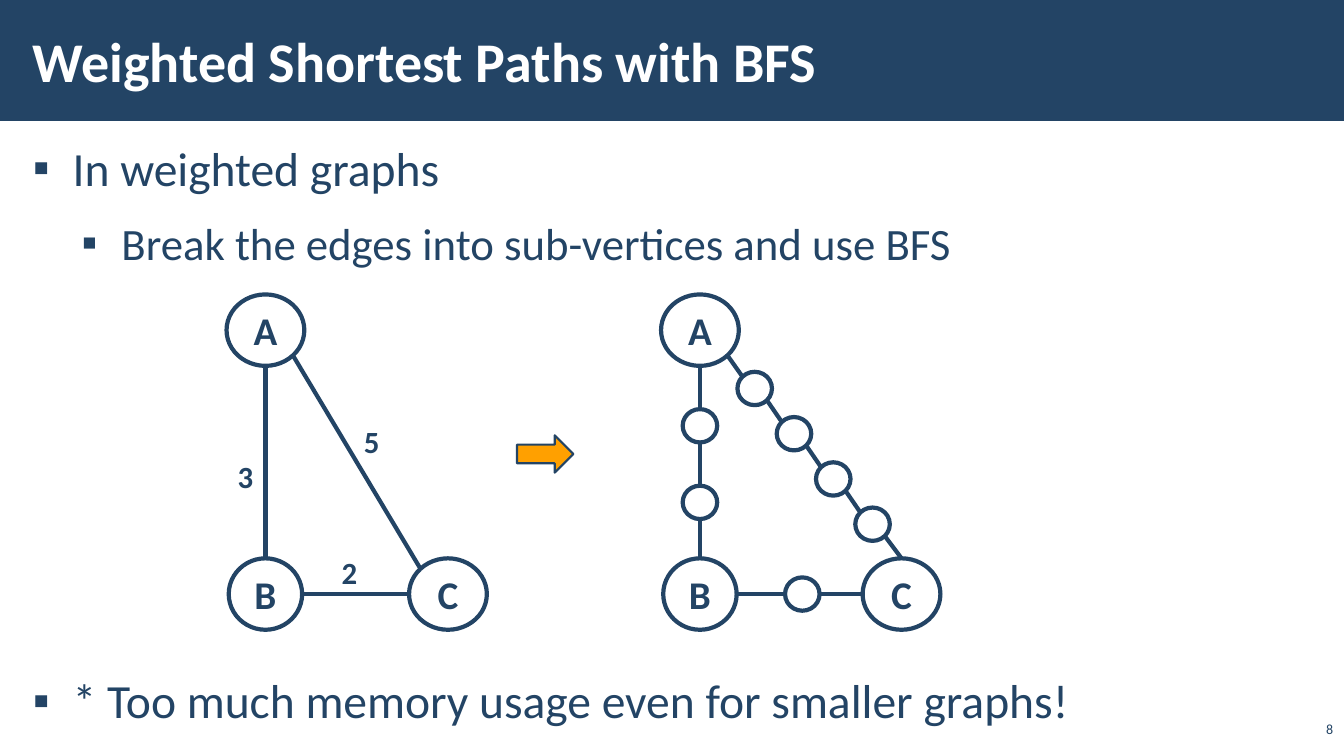
from math import cos, radians, sin

from lxml import etree
from pptx import Presentation
from pptx.dml.color import RGBColor
from pptx.enum.shapes import MSO_CONNECTOR, MSO_SHAPE
from pptx.enum.text import MSO_ANCHOR, MSO_AUTO_SIZE, PP_ALIGN
from pptx.oxml.ns import qn
from pptx.util import Cm, Pt

LINE = MSO_CONNECTOR.STRAIGHT
OVAL, RECT, ARROW = MSO_SHAPE.OVAL, MSO_SHAPE.RECTANGLE, MSO_SHAPE.RIGHT_ARROW
TOP, MID, LOW = MSO_ANCHOR.TOP, MSO_ANCHOR.MIDDLE, MSO_ANCHOR.BOTTOM
LEFT, CENTER, RIGHT = PP_ALIGN.LEFT, PP_ALIGN.CENTER, PP_ALIGN.RIGHT
NAVY, WHITE, AMBER = "234465", "FFFFFF", "FFA000"
FONT = "Calibri"

TITLE = "Weighted Shortest Paths with BFS"
# text, level, size, space before (pt), left indent (cm)
BODY = [
    ("In weighted graphs", 0, 34, 6, 1),
    ("Break the edges into sub-vertices and use BFS", 1, 32, 6, 2.23),
    ("* Too much memory usage even for smaller graphs!", 0, 34, 279, 1),
]
HANG = 1

# Directions on a vertex outline, in degrees clockwise from the right
E, SE, S, W, NW, N = 0, 45, 90, 180, 225, 270
BIG, SLIM, DOT = (1.96, 1.8), (1.85, 1.8), (0.87, 0.84)

# Vertices: name -> (centre x, centre y, size, label)
WHOLE = {
    "A": (6.69, 8.32, BIG, "A"),
    "B": (6.69, 14.97, SLIM, "B"),
    "C": (11.29, 14.97, BIG, "C"),
}
SPLIT = {
    "A": (17.64, 8.32, BIG, "A"),
    "B": (17.64, 14.97, SLIM, "B"),
    "C": (22.72, 14.97, BIG, "C"),
    "AB1": (17.64, 10.73, DOT, ""),
    "AB2": (17.64, 12.66, DOT, ""),
    "BC1": (20.22, 14.97, DOT, ""),
}
for i in range(4):
    SPLIT[f"AC{i + 1}"] = (19.02 + 0.99 * i, 9.79 + 1.14 * i, DOT, "")

# Paths: vertices in order, side left, side entered, side entered at the end
WHOLE_PATHS = [("A B", S, N, N), ("B C", E, W, W), ("A C", SE, NW, NW)]
SPLIT_PATHS = [
    ("A AB1 AB2 B", S, N, N),
    ("B BC1 C", E, W, W),
    ("A AC1 AC2 AC3 AC4 C", SE, NW, N),
]
WEIGHTS = [("3", 5.74, 11.4), ("5", 8.92, 10.54), ("2", 8.36, 13.84)]


def color(code):
    return RGBColor.from_string(code)


def style(para, size, code=NAVY, bold=False, align=LEFT):
    para.alignment = align
    for run in para.runs:
        font = run.font
        font.name, font.size, font.bold = FONT, Pt(size), bold
        font.color.rgb = color(code)


def inset(frame, side, top):
    frame.margin_left = frame.margin_right = Cm(side)
    frame.margin_top = frame.margin_bottom = Cm(top)


def place(shape, x, y, w, h):
    shape.left, shape.top, shape.width, shape.height = map(Cm, (x, y, w, h))


def add_shape(shapes, kind, box, fill, width=0):
    shape = shapes.add_shape(kind, *map(Cm, box))
    shape.shadow.inherit = False
    shape.fill.solid()
    shape.fill.fore_color.rgb = color(fill)
    if width:
        shape.line.color.rgb = color(NAVY)
        shape.line.width = Pt(width)
    else:
        shape.line.fill.background()
    return shape


def add_text(shapes, text, box, size, bold=False, align=LEFT, anchor=TOP, wrap=False):
    frame = shapes.add_textbox(*map(Cm, box)).text_frame
    frame.text = text
    frame.word_wrap, frame.vertical_anchor = wrap, anchor
    style(frame.paragraphs[0], size, bold=bold, align=align)


def rim(node, angle):
    """Point on the outline of a vertex in the given direction."""
    x, y, (w, h), _ = node
    turn = radians(angle)
    return Cm(x + w / 2 * cos(turn)), Cm(y + h / 2 * sin(turn))


def add_edge(shapes, start, end):
    edge = shapes.add_connector(LINE, *start, *end)
    edge.line.color.rgb = color(NAVY)
    edge.line.width = Pt(3)
    etree.SubElement(edge.element.spPr, qn("a:effectLst"))


def add_node(shapes, x, y, size, label):
    w, h = size
    node = add_shape(shapes, OVAL, (x - w / 2, y - h / 2, w, h), WHITE, 3)
    tint = node.element.spPr.find(qn("a:solidFill"))[0]
    etree.SubElement(tint, qn("a:alpha"), val="50000")
    if label:
        frame = node.text_frame
        frame.text = label
        frame.vertical_anchor = MID
        inset(frame, 0.1, 0.13)
        style(frame.paragraphs[0], 28, bold=True, align=CENTER)


def add_graph(slide, nodes, paths):
    shapes = slide.shapes.add_group_shape().shapes
    for names, leave, enter, last in paths:
        stops = [nodes[name] for name in names.split()]
        for a, b in zip(stops, stops[1:]):
            side = last if b is stops[-1] else enter
            add_edge(shapes, rim(a, leave), rim(b, side))
    for node in nodes.values():
        add_node(shapes, *node)
    return shapes


def fill_body(body):
    place(body, 0.53, 3.33, 32.82, 15.37)
    frame = body.text_frame
    frame.text = "\n".join(row[0] for row in BODY)
    frame.auto_size, frame.vertical_anchor = MSO_AUTO_SIZE.NONE, TOP
    inset(frame, 0.3, 0.1)
    for para, (_, level, size, before, indent) in zip(frame.paragraphs, BODY):
        para.level = level
        para.line_spacing = 1.05
        para.space_before, para.space_after = Pt(before), Pt(6)
        style(para, size)
        props = para._p.get_or_add_pPr()
        props.set("marL", str(Cm(indent)))
        props.set("indent", str(-Cm(HANG)))
        etree.SubElement(props, qn("a:buFont"), typeface="Arial")
        etree.SubElement(props, qn("a:buChar"), char="▪")


def fill_title(title):
    place(title, 0.53, 0.28, 27, 2.46)
    frame = title.text_frame
    frame.text = TITLE
    frame.auto_size, frame.vertical_anchor = MSO_AUTO_SIZE.NONE, MID
    inset(frame, 0.3, 0.1)
    style(frame.paragraphs[0], 40, WHITE, bold=True)


def main():
    deck = Presentation()
    deck.slide_width, deck.slide_height = Cm(33.87), Cm(19.05)
    slide = deck.slides.add_slide(deck.slide_layouts[1])
    shapes = slide.shapes
    fill_title(shapes.title)
    fill_body(slide.placeholders[1])
    band = add_shape(shapes, RECT, (0, 0, 33.87, 3.05), NAVY)
    shapes.title.element.addprevious(band.element)

    whole = add_graph(slide, WHOLE, WHOLE_PATHS)
    for text, x, y in WEIGHTS:
        add_text(whole, text, (x, y, 0.91, 1.19), 22, bold=True)
    add_shape(shapes, ARROW, (13.03, 10.97, 1.42, 0.94), AMBER, 1.5)
    add_graph(slide, SPLIT, SPLIT_PATHS)
    add_text(shapes, "8", (32.66, 18.14, 1.19, 0.56), 10, align=RIGHT, anchor=LOW, wrap=True)
    deck.save("out.pptx")


if __name__ == "__main__":
    main()
